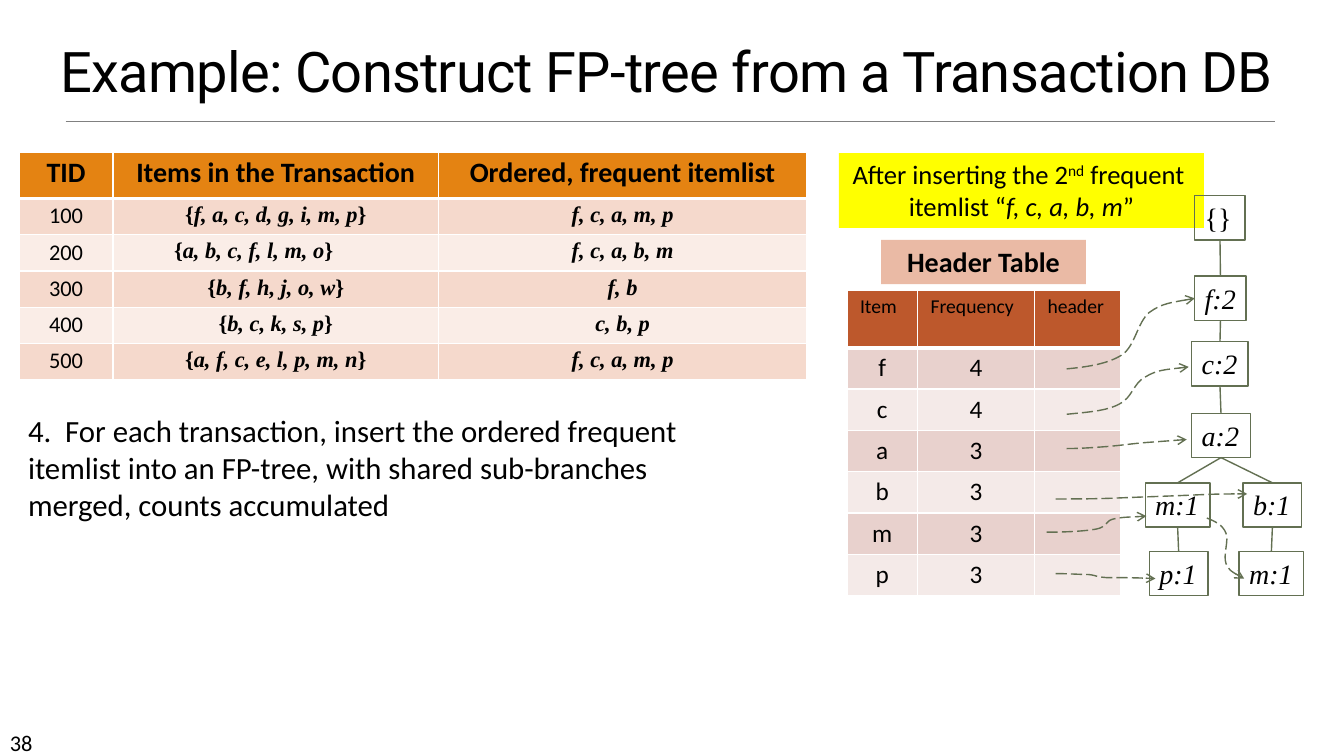
from lxml import etree
from pptx import Presentation
from pptx.dml.color import RGBColor
from pptx.enum.dml import MSO_LINE_DASH_STYLE as Dash
from pptx.enum.shapes import MSO_CONNECTOR as Connector, MSO_SHAPE as Shape
from pptx.enum.text import MSO_ANCHOR as Anchor, MSO_AUTO_SIZE as AutoSize, PP_ALIGN as Align
from pptx.oxml.ns import qn
from pptx.util import Inches, Pt

COLORS = {
    "text": "000000", "white": "FFFFFF", "rule": "808080", "tree": "637052",
    "note": "FFFF00", "label": "EABAA5",
    "orange": "E48312", "peach": "F5D9CC", "pale_peach": "FAEDE7",
    "rust": "BD582C", "rose": "E8D1CD", "pale_rose": "F4EAE8",
}
SANS, SERIF = "Calibri", "Times New Roman"
NODE_HEIGHT = 0.44

TRANSACTIONS = [
    ("100", "f, a, c, d, g, i, m, p", "f, c, a, m, p"),
    ("200", "a, b, c, f, l, m, o", "f, c, a, b, m"),
    ("300", "b, f, h, j, o, w", "f, b"),
    ("400", "b, c, k, s, p", "c, b, p"),
    ("500", "a, f, c, e, l, p, m, n", "f, c, a, m, p"),
]
FREQUENCIES = [("f", "4"), ("c", "4"), ("a", "3"), ("b", "3"), ("m", "3"), ("p", "3")]

TREE_NODES = {
    "root": ("{}", 11.85, 1.94, 0.5),
    "f": ("f:2", 11.85, 2.74, 0.51),
    "c": ("c:2", 11.82, 3.39, 0.56),
    "a": ("a:2", 11.82, 4.1, 0.58),
    "b": ("b:1", 12.33, 4.79, 0.58),
    "m": ("m:1", 11.36, 4.79, 0.64),
    "p": ("p:1", 11.4, 5.47, 0.58),
    "m under b": ("m:1", 12.29, 5.47, 0.64),
}
TREE_EDGES = [("root", "f"), ("f", "c"), ("c", "a"), ("a", "m"), ("a", "b"),
              ("m", "p"), ("b", "m under b")]
HEADER_LINKS = [
    [(10.58, 3.66), (10.79, 3.64), (10.99, 3.61), (11.13, 3.52), (11.26, 3.43),
     (11.28, 3.2), (11.4, 3.1), (11.52, 3.01), (11.69, 2.99), (11.85, 2.96)],
    [(10.58, 4.11), (10.77, 4.09), (10.97, 4.08), (11.1, 4.01), (11.23, 3.95),
     (11.24, 3.8), (11.36, 3.74), (11.47, 3.67), (11.63, 3.66), (11.79, 3.64)],
    [(10.58, 4.45), (10.71, 4.45), (10.85, 4.44), (10.98, 4.43), (11.11, 4.42),
     (11.24, 4.4), (11.37, 4.39), (11.51, 4.38), (11.64, 4.37), (11.77, 4.36)],
    [(10.47, 4.95), (10.67, 4.95), (10.87, 4.95), (11.1, 4.94), (11.33, 4.93),
     (11.65, 4.92), (11.86, 4.91), (12.07, 4.9), (12.22, 4.9), (12.37, 4.9)],
    [(10.38, 5.28), (10.57, 5.28), (10.76, 5.27), (10.87, 5.25), (10.98, 5.23),
     (10.96, 5.17), (11.04, 5.15), (11.12, 5.13), (11.25, 5.13), (11.37, 5.12)],
    [(11.97, 5.14), (12.05, 5.17), (12.13, 5.21), (12.16, 5.29), (12.19, 5.36),
     (12.13, 5.51), (12.16, 5.59), (12.19, 5.66), (12.26, 5.7), (12.34, 5.74)],
    [(10.47, 5.69), (10.59, 5.69), (10.72, 5.7), (10.8, 5.7), (10.88, 5.71),
     (10.86, 5.72), (10.97, 5.73), (11.08, 5.73), (11.27, 5.73), (11.46, 5.74)],
]


def color(name):
    return RGBColor.from_string(COLORS[name])


def write(frame, lines, size, font=SANS, align=Align.LEFT):
    for index, line in enumerate(lines):
        paragraph = frame.paragraphs[0] if index == 0 else frame.add_paragraph()
        paragraph.alignment = align
        for text, style in line:
            run = paragraph.add_run()
            run.text = text
            run.font.size, run.font.name = Pt(size), font
            run.font.bold, run.font.italic = "bold" in style, "italic" in style
            run.font.color.rgb = color("text")
            if "super" in style:
                run.font._element.set("baseline", "30000")


def add_title(slide, text):
    title = slide.shapes.title
    title.left, title.top = Inches(0.22), Inches(0.33)
    title.width, title.height = Inches(12.78), Inches(0.75)
    frame = title.text_frame
    frame.auto_size, frame.vertical_anchor = AutoSize.NONE, Anchor.BOTTOM
    write(frame, [[(text, "")]], 40, "Roboto", Align.CENTER)
    frame.paragraphs[0].line_spacing = 0.85
    frame.paragraphs[0].runs[0].font._element.set("spc", "-50")


def add_text(slide, left, top, width, height, text, size):
    box = slide.shapes.add_textbox(Inches(left), Inches(top), Inches(width), Inches(height))
    box.text_frame.word_wrap = True
    write(box.text_frame, [[(text, "")]], size)


def add_box(slide, left, top, width, height, lines, size, fill=None, line=None,
            font=SANS, align=Align.CENTER):
    box = slide.shapes.add_shape(
        Shape.RECTANGLE, Inches(left), Inches(top), Inches(width), Inches(height))
    box.shadow.inherit = False
    if fill:
        box.fill.solid()
        box.fill.fore_color.rgb = color(fill)
    else:
        box.fill.background()
    if line:
        box.line.color.rgb, box.line.width = color(line), Pt(1)
    else:
        box.line.fill.background()
    box.text_frame.word_wrap = False
    box.text_frame.vertical_anchor = Anchor.TOP
    write(box.text_frame, lines, size, font, align)
    return box


def add_line(slide, start, end, line, width):
    connector = slide.shapes.add_connector(
        Connector.STRAIGHT, *[Inches(value) for value in (*start, *end)])
    connector.line.color.rgb, connector.line.width = color(line), Pt(width)
    etree.SubElement(connector._element.spPr, qn("a:effectLst"))
    return connector


def add_curved_arrow(slide, points):
    start, *rest = [(Inches(x), Inches(y)) for x, y in points]
    builder = slide.shapes.build_freeform(*start)
    builder.add_line_segments(rest, close=False)
    arrow = builder.convert_to_shape()
    arrow.shadow.inherit = False
    arrow.fill.background()
    arrow.line.color.rgb, arrow.line.width = color("tree"), Pt(1)
    arrow.line.dash_style = Dash.LONG_DASH
    etree.SubElement(arrow.line._get_or_add_ln(), qn("a:tailEnd"), type="arrow")
    outline = arrow._element.spPr.find(".//" + qn("a:path"))
    segments = outline.findall(qn("a:lnTo"))
    for first in range(0, len(segments), 3):
        curve = etree.SubElement(outline, qn("a:cubicBezTo"))
        for segment in segments[first:first + 3]:
            curve.append(segment[0])
            outline.remove(segment)


def set_borders(cell, top, bottom):
    properties = cell._tc.get_or_add_tcPr()
    for side, width in (("L", 1), ("R", 1), ("T", top), ("B", bottom)):
        border = etree.SubElement(properties, qn("a:ln" + side), w=str(Pt(width)))
        paint = etree.SubElement(border, qn("a:solidFill"))
        etree.SubElement(paint, qn("a:srgbClr"), val=COLORS["white"])


def add_grid(slide, left, top, widths, heights, fills, margin, rows):
    grid = slide.shapes.add_table(
        len(rows), len(widths), Inches(left), Inches(top),
        Inches(sum(widths)), Inches(sum(heights))).table
    for column, width in zip(grid.columns, widths):
        column.width = Inches(width)
    for r, (height, entries) in enumerate(zip(heights, rows)):
        grid.rows[r].height = Inches(height)
        for c, (runs, size, font, align) in enumerate(entries):
            cell = grid.cell(r, c)
            set_borders(cell, 3 if r == 1 else 1, 3 if r == 0 else 1)
            cell.fill.solid()
            cell.fill.fore_color.rgb = color(fills[0] if r == 0 else fills[2 - r % 2])
            cell.margin_left = cell.margin_right = Inches(0.13)
            cell.margin_top = cell.margin_bottom = Inches(margin)
            write(cell.text_frame, [runs], size, font, align)
    return grid


def add_header_table(slide):
    rows = [[([(name, "")], 14, SANS, Align.LEFT) for name in ("Item", "Frequency", "header")]]
    rows += [[([(value, "")] if value else [], 18, SANS, Align.CENTER)
              for value in (*entry, "")] for entry in FREQUENCIES]
    add_grid(slide, 8.4, 2.88, [0.7, 1.16, 0.85], [0.57] + [0.41] * 6,
             ("rust", "rose", "pale_rose"), 0.05, rows)


def add_transactions(slide):
    names = ("TID", "Items in the Transaction", "Ordered, frequent itemlist")
    rows = [[([(name, "bold")], 20, SANS, Align.CENTER) for name in names]]
    for tid, items, ordered in TRANSACTIONS:
        braced = [("{", "bold"), (items, "bold italic"), ("}", "bold")]
        rows.append([([(tid, "")], 16, SANS, Align.CENTER),
                     (braced, 16, SERIF, Align.CENTER),
                     ([(ordered, "bold italic")], 16, SERIF, Align.CENTER)])
    grid = add_grid(slide, 0.19, 1.51, [0.93, 3.23, 3.65], [0.46] + [0.36] * 5,
                    ("orange", "peach", "pale_peach"), 0.04, rows)
    grid.cell(2, 1).margin_right = Inches(0.57)


def add_tree(slide):
    nodes = {}
    for key, (label, left, top, width) in TREE_NODES.items():
        style = "" if key == "root" else "italic"
        nodes[key] = add_box(slide, left, top, width, NODE_HEIGHT, [[(label, style)]], 20,
                             line="tree", font=SERIF, align=Align.LEFT)
    for parent, child in TREE_EDGES:
        edge = add_line(slide, (0, 0), (1, 1), "tree", 1)
        edge.begin_connect(nodes[parent], 2)
        edge.end_connect(nodes[child], 0)
    for points in HEADER_LINKS:
        add_curved_arrow(slide, points)


def main():
    deck = Presentation()
    deck.slide_width, deck.slide_height = Inches(13.33), Inches(7.5)
    slide = deck.slides.add_slide(deck.slide_layouts[5])
    add_title(slide, "Example: Construct FP-tree from a Transaction DB")
    add_line(slide, (0.65, 1.2), (12.65, 1.2), "rule", 0.5)
    add_text(slide, 0, 7.18, 1.17, 0.3, "38", 16)
    add_header_table(slide)
    add_text(slide, 0.18, 4.04, 6.64, 1.64,
             "4.  For each transaction, insert the ordered frequent itemlist into an FP-tree, "
             "with shared sub-branches merged, counts accumulated", 22)
    add_box(slide, 8.32, 1.52, 3.62, 0.74, [
        [("After inserting the 2", ""), ("nd", "super"), (" frequent ", "")],
        [("itemlist “", ""), ("f, c, a, b, m", "italic"), ("”", "")],
    ], 19, fill="note")
    add_tree(slide)
    add_transactions(slide)
    add_box(slide, 8.74, 2.38, 2.03, 0.44, [[("Header Table", "bold")]], 20, fill="label")
    deck.save("out.pptx")


if __name__ == "__main__":
    main()
